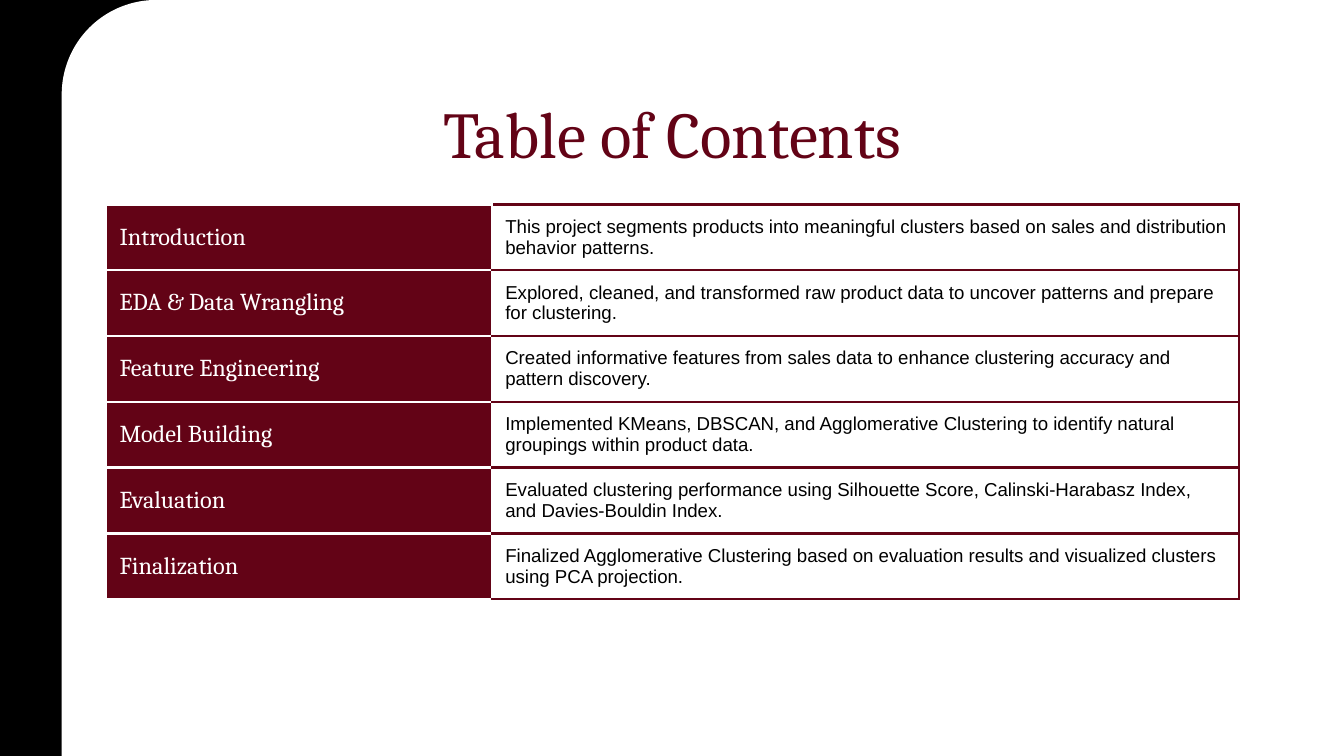
from dataclasses import dataclass

from lxml.etree import SubElement
from pptx import Presentation
from pptx.dml.color import RGBColor
from pptx.enum.shapes import MSO_SHAPE
from pptx.enum.text import MSO_ANCHOR, MSO_AUTO_SIZE, PP_ALIGN
from pptx.oxml.ns import qn
from pptx.util import Inches, Pt

SLIDE_WIDTH = 10
SLIDE_HEIGHT = SLIDE_WIDTH * 9 / 16
PANEL_LEFT = 0.46


@dataclass(frozen=True)
class Theme:
    background: str = "000000"
    panel: str = "FFFFFF"
    accent: str = "630316"
    body: str = "000000"
    heading_font: str = "Cambria"
    body_font: str = "Arial"
    title_size: float = 35
    topic_size: float = 13
    summary_size: float = 10
    border_width: float = 1.5


CONTENTS = [
    ("Introduction",
     "This project segments products into meaningful clusters based on sales "
     "and distribution behavior patterns."),
    ("EDA & Data Wrangling",
     "Explored, cleaned, and transformed raw product data to uncover patterns "
     "and prepare for clustering."),
    ("Feature Engineering",
     "Created informative features from sales data to enhance clustering "
     "accuracy and pattern discovery."),
    ("Model Building",
     "Implemented KMeans, DBSCAN, and Agglomerative Clustering to identify "
     "natural groupings within product data."),
    ("Evaluation",
     "Evaluated clustering performance using Silhouette Score, "
     "Calinski-Harabasz Index, and Davies-Bouldin Index."),
    ("Finalization",
     "Finalized Agglomerative Clustering based on evaluation results and "
     "visualized clusters using PCA projection."),
]


class SlideBuilder:
    def __init__(self, slide, theme):
        self.slide = slide
        self.theme = theme

    def background(self):
        fill = self.slide.background.fill
        fill.solid()
        fill.fore_color.rgb = RGBColor.from_string(self.theme.background)

    def panel(self, left, top, width, height):
        """Draw the white panel, mirrored so its round corner is top left."""
        shape = self.slide.shapes.add_shape(
            MSO_SHAPE.ROUND_1_RECTANGLE,
            Inches(left), Inches(top), Inches(width), Inches(height))
        shape.adjustments[0] = 0.125
        shape._element.spPr.xfrm.set("flipH", "1")
        shape.shadow.inherit = False
        shape.fill.solid()
        shape.fill.fore_color.rgb = RGBColor.from_string(self.theme.panel)
        shape.line.fill.background()
        # Keep the panel behind the title placeholder.
        self.slide.shapes._spTree.insert(2, shape._element)

    def title(self, text, left, top, width, height):
        title = self.slide.shapes.title
        title.left, title.top = Inches(left), Inches(top)
        title.width, title.height = Inches(width), Inches(height)
        frame = title.text_frame
        frame.text = text
        frame.word_wrap = True
        frame.auto_size = MSO_AUTO_SIZE.NONE
        frame.vertical_anchor = MSO_ANCHOR.TOP
        frame.margin_left = frame.margin_right = Inches(0.1)
        frame.margin_top = frame.margin_bottom = Inches(0.1)
        paragraph = frame.paragraphs[0]
        paragraph.alignment = PP_ALIGN.CENTER
        self.format_runs(paragraph, self.theme.heading_font,
                         self.theme.title_size, self.theme.accent)

    def contents_table(self, rows, left, top, column_widths, row_height):
        theme = self.theme
        table = self.slide.shapes.add_table(
            len(rows), len(column_widths), Inches(left), Inches(top),
            Inches(sum(column_widths)), Inches(row_height * len(rows))).table
        table.first_row = table.horz_banding = False
        for column, width in zip(table.columns, column_widths):
            column.width = Inches(width)
        for row, (topic, summary) in zip(table.rows, rows):
            row.height = Inches(row_height)
            topic_cell, summary_cell = row.cells

            self.cell_text(topic_cell, topic, theme.heading_font,
                           theme.topic_size, theme.panel)
            self.cell_borders(topic_cell, theme.panel, theme.panel)
            topic_cell.fill.solid()
            topic_cell.fill.fore_color.rgb = RGBColor.from_string(theme.accent)

            self.cell_text(summary_cell, summary, theme.body_font,
                           theme.summary_size, theme.body)
            self.cell_borders(summary_cell, theme.panel, theme.accent)
            summary_cell.fill.background()

    def cell_text(self, cell, text, font, size, color):
        cell.text_frame.text = text
        cell.vertical_anchor = MSO_ANCHOR.MIDDLE
        cell.margin_left = cell.margin_right = Inches(0.1)
        cell.margin_top = cell.margin_bottom = 0
        self.format_runs(cell.text_frame.paragraphs[0], font, size, color)

    def cell_borders(self, cell, left_color, other_color):
        """Add the four borders; call before filling, as fill follows them."""
        properties = cell._tc.get_or_add_tcPr()
        for side in ("L", "R", "T", "B"):
            line = SubElement(properties, qn(f"a:ln{side}"),
                              w=str(Pt(self.theme.border_width)))
            fill = SubElement(line, qn("a:solidFill"))
            color = left_color if side == "L" else other_color
            SubElement(fill, qn("a:srgbClr"), val=color)

    def format_runs(self, paragraph, font, size, color):
        for run in paragraph.runs:
            run.font.name = font
            run.font.size = Pt(size)
            run.font.color.rgb = RGBColor.from_string(color)


def main():
    presentation = Presentation()
    presentation.slide_width = Inches(SLIDE_WIDTH)
    presentation.slide_height = Inches(SLIDE_HEIGHT)
    title_only = presentation.slide_layouts[5]
    builder = SlideBuilder(presentation.slides.add_slide(title_only), Theme())
    builder.background()
    builder.panel(PANEL_LEFT, 0, SLIDE_WIDTH - PANEL_LEFT, SLIDE_HEIGHT)
    builder.title("Table of Contents", 0.79, 0.59, 8.43, 0.59)
    builder.contents_table(CONTENTS, 0.79, 1.52, (2.87, 5.56), 0.49)
    presentation.save("out.pptx")


if __name__ == "__main__":
    main()
